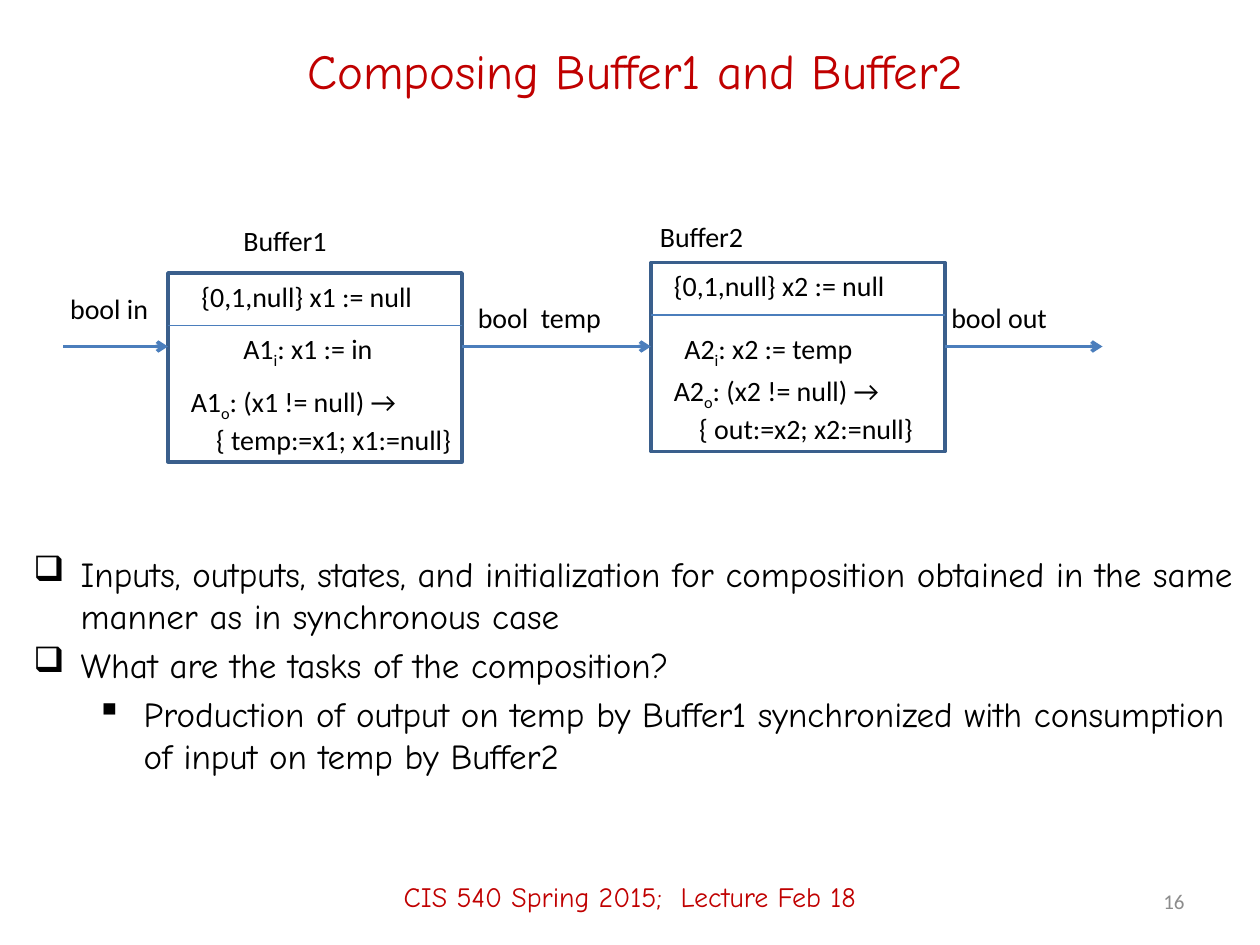
from dataclasses import dataclass

from lxml import etree
from pptx import Presentation
from pptx.dml.color import RGBColor
from pptx.enum.shapes import MSO_CONNECTOR, MSO_SHAPE
from pptx.enum.text import MSO_ANCHOR, MSO_AUTO_SIZE, PP_ALIGN
from pptx.oxml.ns import qn
from pptx.util import Pt

RECT = MSO_SHAPE.RECTANGLE
LINE = MSO_CONNECTOR.STRAIGHT
TOP, MID = MSO_ANCHOR.TOP, MSO_ANCHOR.MIDDLE
LEFT, CENTER, RIGHT = PP_ALIGN.LEFT, PP_ALIGN.CENTER, PP_ALIGN.RIGHT
GROW, FIXED = MSO_AUTO_SIZE.SHAPE_TO_FIT_TEXT, MSO_AUTO_SIZE.NONE


@dataclass
class Theme:
    hand: str = "Comic Neue"
    sans: str = "Calibri"
    red: str = "C00000"
    black: str = "000000"
    gray: str = "8C8C8C"
    edge: str = "3A5F8C"
    wire: str = "4B7EBC"
    title: int = 28
    body: int = 20
    label: int = 16
    small: int = 12
    bold: float = 2
    thin: float = 0.75


def apply(obj, **form):
    for key, value in form.items():
        setattr(obj, key, value)


class Deck:
    def __init__(self, theme, slide):
        self.theme = theme
        self.slide = slide

    def run(self, para, text, face, size, color, sub=False):
        run = para.add_run()
        run.text = text
        apply(run.font, name=face, size=Pt(size))
        run.font.color.rgb = RGBColor.from_string(color)
        if sub:
            run._r.get_or_add_rPr().set("baseline", "-25000")

    def frame(self, area, **form):
        box = self.slide.shapes.add_textbox(*map(Pt, area))
        apply(box.text_frame, **form)
        return box.text_frame

    def text(self, area, text, face, size, color, align=CENTER):
        frame = self.frame(area, word_wrap=True, auto_size=FIXED, vertical_anchor=MID)
        para = frame.paragraphs[0]
        para.alignment = align
        self.run(para, text, face, size, color)

    def label(self, area, *lines):
        look = self.theme
        frame = self.frame(area, word_wrap=False, auto_size=GROW, vertical_anchor=TOP)
        for row, line in enumerate(lines):
            para = frame.add_paragraph() if row else frame.paragraphs[0]
            para.alignment = LEFT
            for spot, part in enumerate(line.split("_")):
                self.run(para, part, look.sans, look.label, look.black, spot == 1)

    def bullets(self, area, items):
        look = self.theme
        frame = self.frame(area, word_wrap=True, auto_size=FIXED, vertical_anchor=TOP)
        for row, (level, text) in enumerate(items):
            para = frame.add_paragraph() if row else frame.paragraphs[0]
            apply(para, level=level, space_before=Pt(4 if row else 0))
            props = para._p.get_or_add_pPr()
            props.set("marL", str(Pt(27 + 36 * level)))
            props.set("indent", str(Pt(-27)))
            etree.SubElement(props, qn("a:buChar")).set("char", "❑▪"[level])
            self.run(para, text, look.hand, look.body, look.black)

    def box(self, area):
        box = self.slide.shapes.add_shape(RECT, *map(Pt, area))
        box.shadow.inherit = False
        box.fill.background()
        box.line.color.rgb = RGBColor.from_string(self.theme.edge)
        box.line.width = Pt(self.theme.bold)

    def line(self, start, end, y, width, arrow=False):
        line = self.slide.shapes.add_connector(LINE, *map(Pt, (start, y, end, y)))
        line.line.color.rgb = RGBColor.from_string(self.theme.wire)
        line.line.width = Pt(width)
        if arrow:
            etree.SubElement(line.line._get_or_add_ln(), qn("a:tailEnd")).set("type", "arrow")
        etree.SubElement(line._element.spPr, qn("a:effectLst"))


def main():
    show = Presentation()
    apply(show, slide_width=Pt(720), slide_height=Pt(540))
    look = Theme()
    deck = Deck(look, show.slides.add_slide(show.slide_layouts[6]))

    deck.text((54, 12, 618, 56), "Composing Buffer1 and Buffer2",
              look.hand, look.title, look.red)
    deck.bullets((12, 312, 708, 144), (
        (0, "Inputs, outputs, states, and initialization for composition "
            "obtained in the same manner as in synchronous case"),
        (0, "What are the tasks of the composition?"),
        (1, "Production of output on temp by Buffer1 synchronized with "
            "consumption of input on temp by Buffer2"),
    ))

    for left, top in ((96, 156), (372, 150)):
        deck.box((left, top, 168, 108))
        deck.line(left, left + 168, top + 30, look.thin)
    for start, end in ((36, 96), (264, 372), (540, 630)):
        deck.line(start, end, 198, look.bold, True)

    for x, y, wide, text in (
        (33, 163, 60, "bool in"),
        (266, 168, 86, "bool  temp"),
        (536.5, 168, 70, "bool out"),
        (132, 124, 63, "Buffer1"),
        (370, 122, 63, "Buffer2"),
        (108, 156, 136, "{0,1,null} x1 := null"),
        (378, 150, 136, "{0,1,null} x2 := null"),
        (132, 186, 89, "A1_i_: x1 := in"),
        (384, 186, 112, "A2_i_: x2 := temp"),
    ):
        deck.label((x, y, wide, 26.6), text)
    deck.label((102, 216, 165, 46), "A1_o_: (x1 != null) →", "    { temp:=x1; x1:=null}")
    deck.label((378, 210, 153, 46), "A2_o_: (x2 != null) →", "    { out:=x2; x2:=null}")

    deck.text((0, 484, 720, 56), "CIS 540 Spring 2015;  Lecture Feb 18",
              look.hand, look.label, look.red)
    deck.text((516, 500.5, 168, 28.75), "16", look.sans, look.small, look.gray, RIGHT)
    show.save("out.pptx")


if __name__ == "__main__":
    main()
